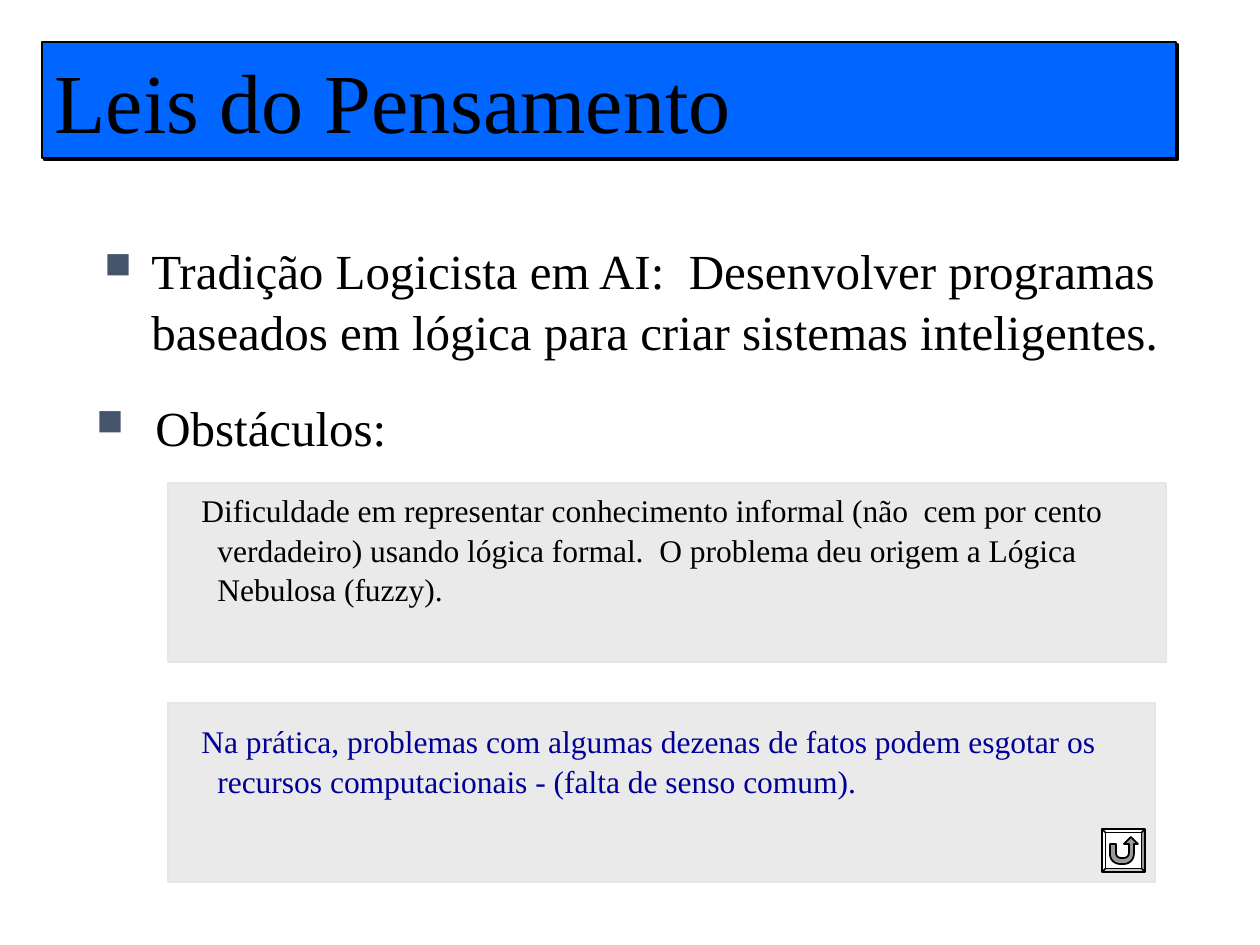
from dataclasses import dataclass
from math import cos, radians, sin

from lxml.etree import SubElement
from pptx import Presentation
from pptx.dml.color import RGBColor
from pptx.enum.shapes import MSO_SHAPE
from pptx.enum.text import MSO_ANCHOR, MSO_AUTO_SIZE, PP_ALIGN
from pptx.oxml.ns import qn
from pptx.util import Emu, Pt

SCALE = 914400 / 126  # EMU in one px


@dataclass(frozen=True)
class Theme:
    font: str = "Times New Roman"
    title_size: int = 48
    topic_size: int = 28
    detail_size: int = 18
    black: str = "000000"
    white: str = "FFFFFF"
    banner: str = "0066FF"
    panel: str = "EAEAEA"
    panel_line: str = "E7E6E6"
    bullet: str = "44546A"
    accent: str = "000099"
    arrow: str = "999999"


THEME = Theme()


def px(length):
    return Emu(round(length * SCALE))


def place(box):
    return [px(length) for length in box]


def paint(shape, fill, line, width=1):
    shape.shadow.inherit = False
    shape.fill.solid()
    shape.fill.fore_color.rgb = RGBColor.from_string(fill)
    shape.line.color.rgb = RGBColor.from_string(line)
    shape.line.width = Pt(width)


def style(para, size, color):
    para.alignment = PP_ALIGN.LEFT
    para.font.name = THEME.font
    para.font.size = Pt(size)
    para.font.color.rgb = RGBColor.from_string(color)


def add_bullet(props):
    color = SubElement(props, qn("a:buClr"))
    SubElement(color, qn("a:srgbClr"), val=THEME.bullet)
    SubElement(props, qn("a:buSzPct"), val="75000")
    SubElement(props, qn("a:buChar"), char="■")


def add_title(page, box, text):
    title = page.shapes.title
    title.left, title.top, title.width, title.height = place(box)
    paint(title, THEME.banner, THEME.black)
    # Hard offset shadow
    effects = title.element.spPr.find(qn("a:effectLst"))
    shadow = SubElement(effects, qn("a:outerShdw"), blurRad="0",
                        dist=str(Pt(1.4)), dir="2700000", algn="ctr", rotWithShape="0")
    SubElement(shadow, qn("a:srgbClr"), val=THEME.black)
    frame = title.text_frame
    frame.text = text
    frame.auto_size = MSO_AUTO_SIZE.NONE
    frame.vertical_anchor = MSO_ANCHOR.MIDDLE
    style(frame.paragraphs[0], THEME.title_size, THEME.black)


def add_text(page, box, text, size, color, margin, hanging, bullet=False):
    frame = page.shapes.add_textbox(*place(box)).text_frame
    frame.word_wrap = True
    para = frame.paragraphs[0]
    para.text = text
    para.line_spacing = 1.05
    style(para, size, color)
    props = para._p.get_or_add_pPr()
    props.set("marL", str(px(margin)))
    props.set("indent", str(px(-hanging)))
    if bullet:
        add_bullet(props)


def add_topic(page, box, text, hanging):
    add_text(page, box, text, THEME.topic_size, THEME.black, hanging, hanging, True)


def add_detail(page, panel_box, text_box, text, color):
    left, top, _, _ = panel_box
    panel = page.shapes.add_shape(MSO_SHAPE.RECTANGLE, *place(panel_box))
    paint(panel, THEME.panel, THEME.panel_line, 0.75)
    dx, dy, width, height = text_box
    add_text(page, (left + dx, top + dy, width, height), text,
             THEME.detail_size, color, 47, 16)


def arc(center_x, center_y, radius, start, end, steps=12):
    angles = [radians(start + (end - start) * step / steps) for step in range(steps + 1)]
    return [(center_x + radius * cos(angle), center_y + radius * sin(angle))
            for angle in angles]


def add_return_button(page, box):
    left, top, _, _ = box
    button = page.shapes.add_shape(MSO_SHAPE.BEVEL, *place(box))
    button.adjustments[0] = 0.08
    paint(button, THEME.white, THEME.black)
    # U-turn arrow: left stem, outer bend, head, inner bend
    points = [(8, 15), (14, 15), *arc(19, 24, 5, 180, 90), *arc(22, 24, 5, 90, 0),
              (27, 15), (22, 15), (29, 8), (36, 15), (32, 15),
              *arc(22, 25, 10, 0, 90), *arc(18, 25, 10, 90, 180)]
    points = [(round((left + x) * SCALE), round((top + y) * SCALE)) for x, y in points]
    outline = page.shapes.build_freeform(*points[0])
    outline.add_line_segments(points[1:], close=True)
    paint(outline.convert_to_shape(), THEME.arrow, THEME.black)


def main():
    deck = Presentation()
    deck.slide_width, deck.slide_height = px(1260), px(945)
    page = deck.slides.add_slide(deck.slide_layouts[5])

    add_title(page, (42, 42, 1134, 116), "Leis do Pensamento")

    # Topics
    add_topic(page, (92, 231, 1095, 158),
              "Tradição Logicista em AI:  Desenvolver programas baseados em "
              "lógica para criar sistemas inteligentes.", 47)
    add_topic(page, (84, 388, 1095, 94), "Obstáculos:", 59)

    # Obstacles
    add_detail(page, (168, 483, 998, 179), (-10, 0, 987, 147),
               "Dificuldade em representar conhecimento informal (não  cem por cento "
               "verdadeiro) usando lógica formal.  O problema deu origem a Lógica "
               "Nebulosa (fuzzy).", THEME.black)
    add_detail(page, (168, 703, 987, 179), (-10, 11, 976, 116),
               "Na prática, problemas com algumas dezenas de fatos podem esgotar os "
               "recursos computacionais - (falta de senso comum).", THEME.accent)

    add_return_button(page, (1102, 829, 43, 43))
    deck.save("out.pptx")


if __name__ == "__main__":
    main()
